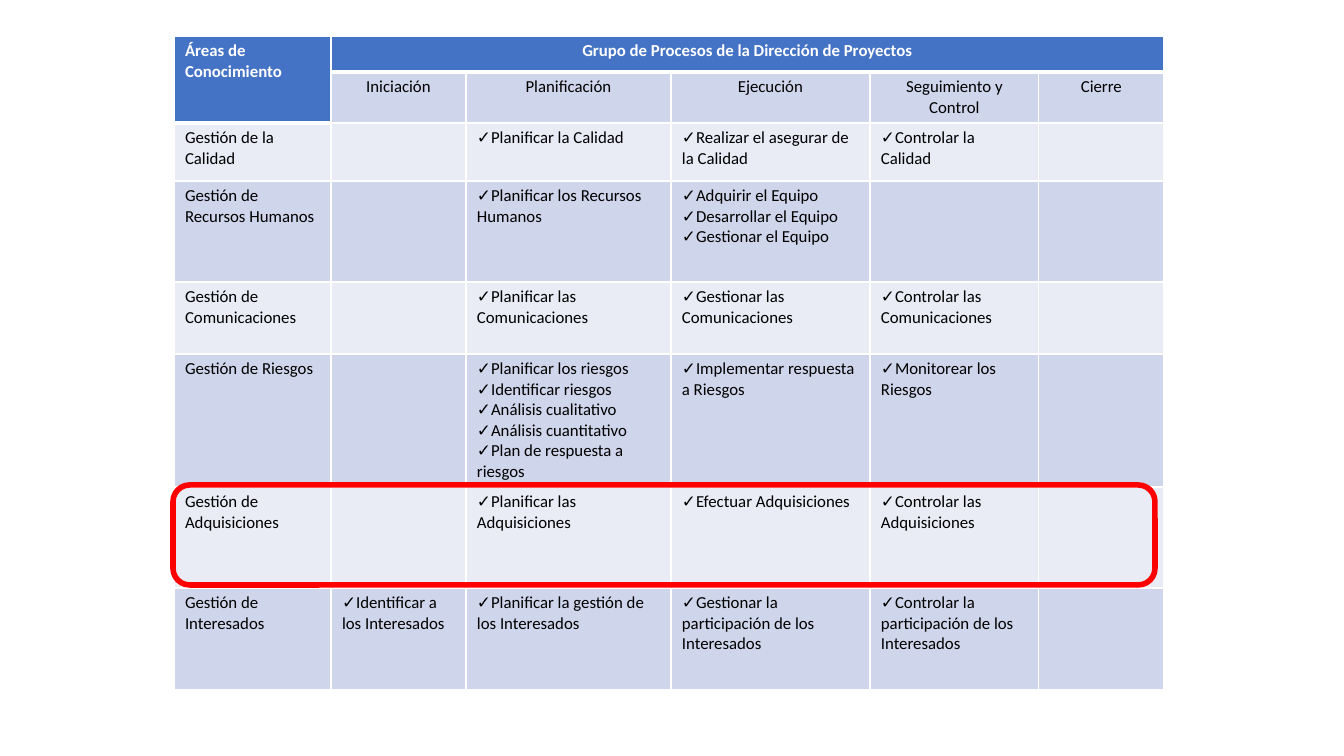
from dataclasses import dataclass

from pptx import Presentation
from pptx.dml.color import RGBColor
from pptx.enum.shapes import MSO_SHAPE as Shape
from pptx.enum.text import PP_ALIGN as Align
from pptx.oxml import parse_xml
from pptx.oxml.ns import nsdecls
from pptx.util import Emu, Pt

EMU_PER_PX = 9071.43

FONT = "Calibri"
BLUE = RGBColor(0x44, 0x72, 0xC4)
BAND_DARK = RGBColor(0xCF, 0xD5, 0xEA)
BAND_LIGHT = RGBColor(0xE9, 0xEB, 0xF5)
WHITE = RGBColor(0xFF, 0xFF, 0xFF)
BLACK = RGBColor(0x00, 0x00, 0x00)
RED = RGBColor(0xFF, 0x00, 0x00)

COLS = [157, 135, 205, 199, 169, 125]
ROWS = [36, 51, 58, 101, 72, 133, 101, 102]
MARGINS = {"margin_left": 11, "margin_right": 11, "margin_top": 5, "margin_bottom": 5}


@dataclass(frozen=True)
class Area:
    """Knowledge area with its processes, one tuple per process group."""
    name: str
    start: tuple[str, ...] = ()
    plan: tuple[str, ...] = ()
    execute: tuple[str, ...] = ()
    control: tuple[str, ...] = ()
    close: tuple[str, ...] = ()

    def groups(self) -> list[tuple[str, ...]]:
        return [self.start, self.plan, self.execute, self.control, self.close]


CORNER = "Áreas de Conocimiento"
TITLE = "Grupo de Procesos de la Dirección de Proyectos"
GROUPS = ["Iniciación", "Planificación", "Ejecución", "Seguimiento y Control", "Cierre"]
AREAS = [
    Area("Gestión de la Calidad",
         plan=("Planificar la Calidad",),
         execute=("Realizar el asegurar de la Calidad",),
         control=("Controlar la Calidad",)),
    Area("Gestión de Recursos Humanos",
         plan=("Planificar los Recursos Humanos",),
         execute=("Adquirir el Equipo", "Desarrollar el Equipo", "Gestionar el Equipo")),
    Area("Gestión de Comunicaciones",
         plan=("Planificar las Comunicaciones",),
         execute=("Gestionar las Comunicaciones",),
         control=("Controlar las Comunicaciones",)),
    Area("Gestión de Riesgos",
         plan=("Planificar los riesgos", "Identificar riesgos", "Análisis cualitativo",
               "Análisis cuantitativo", "Plan de respuesta a riesgos"),
         execute=("Implementar respuesta a Riesgos",),
         control=("Monitorear los Riesgos",)),
    Area("Gestión de Adquisiciones",
         plan=("Planificar las Adquisiciones",),
         execute=("Efectuar Adquisiciones",),
         control=("Controlar las Adquisiciones",)),
    Area("Gestión de Interesados",
         start=("Identificar a los Interesados",),
         plan=("Planificar la gestión de los Interesados",),
         execute=("Gestionar la participación de los Interesados",),
         control=("Controlar la participación de los Interesados",)),
]


def px(n: int) -> Emu:
    return Emu(round(n * EMU_PER_PX))


def style_cell(cell, row: int, col: int, fill: RGBColor) -> None:
    """Margins, white borders (thicker below the headings) and fill."""
    for name, value in MARGINS.items():
        setattr(cell, name, px(value))
    header_rows = 2 if col == 0 else 1
    widths = {"L": 1, "R": 1,
              "T": 3 if row == header_rows else 1,
              "B": 3 if row < header_rows else 1}
    tc_pr = cell._tc.get_or_add_tcPr()
    for side, width in widths.items():
        tc_pr.append(parse_xml(
            f'<a:ln{side} {nsdecls("a")} w="{Pt(width)}"><a:solidFill>'
            f'<a:srgbClr val="{WHITE}"/></a:solidFill></a:ln{side}>'))
    cell.fill.solid()
    cell.fill.fore_color.rgb = fill


def add_check_bullet(p) -> None:
    p_pr = p._p.get_or_add_pPr()
    p_pr.set("marL", "0")
    p_pr.set("indent", "0")
    p_pr.append(parse_xml(f'<a:buFont {nsdecls("a")} typeface="{FONT}"/>'))
    p_pr.append(parse_xml(f'<a:buChar {nsdecls("a")} char="✓"/>'))


def write(cell, lines: tuple[str, ...], color: RGBColor = BLACK, bold: bool = False,
          align: Align = Align.LEFT, check: bool = False) -> None:
    tf = cell.text_frame
    for i, line in enumerate(lines):
        p = tf.add_paragraph() if i else tf.paragraphs[0]
        p.alignment = align
        if check:
            add_check_bullet(p)
        r = p.add_run()
        r.text = line
        for name, value in {"name": FONT, "size": Pt(12), "bold": bold}.items():
            setattr(r.font, name, value)
        r.font.color.rgb = color


def add_process_table(s) -> None:
    table = s.shapes.add_table(len(ROWS), len(COLS), px(174), px(36),
                               px(sum(COLS)), px(sum(ROWS))).table
    for column, width in zip(table.columns, COLS):
        column.width = px(width)
    for table_row, height in zip(table.rows, ROWS):
        table_row.height = px(height)

    # Fills and borders
    for row in range(len(ROWS)):
        for col in range(len(COLS)):
            heading = row == 0 or (row == 1 and col == 0)
            band = BAND_DARK if row % 2 else BAND_LIGHT
            style_cell(table.cell(row, col), row, col, BLUE if heading else band)

    # Headings
    table.cell(0, 0).merge(table.cell(1, 0))
    table.cell(0, 1).merge(table.cell(0, len(COLS) - 1))
    write(table.cell(0, 0), (CORNER,), WHITE, bold=True)
    write(table.cell(0, 1), (TITLE,), WHITE, bold=True, align=Align.CENTER)
    for col, group in enumerate(GROUPS, 1):
        write(table.cell(1, col), (group,), align=Align.CENTER)

    # Knowledge areas
    for row, area in enumerate(AREAS, 2):
        write(table.cell(row, 0), (area.name,))
        for col, processes in enumerate(area.groups(), 1):
            write(table.cell(row, col), processes, check=True)


def add_highlight(s) -> None:
    sp = s.shapes.add_shape(Shape.ROUNDED_RECTANGLE, px(173), px(485), px(982), px(100))
    sp.shadow.inherit = False
    sp.fill.background()
    sp.line.color.rgb = RED
    sp.line.width = Pt(4)


def main() -> None:
    prs = Presentation()
    prs.slide_width, prs.slide_height = px(1344), px(756)
    s = prs.slides.add_slide(prs.slide_layouts[6])
    add_process_table(s)
    add_highlight(s)
    prs.save("out.pptx")


if __name__ == "__main__":
    main()
